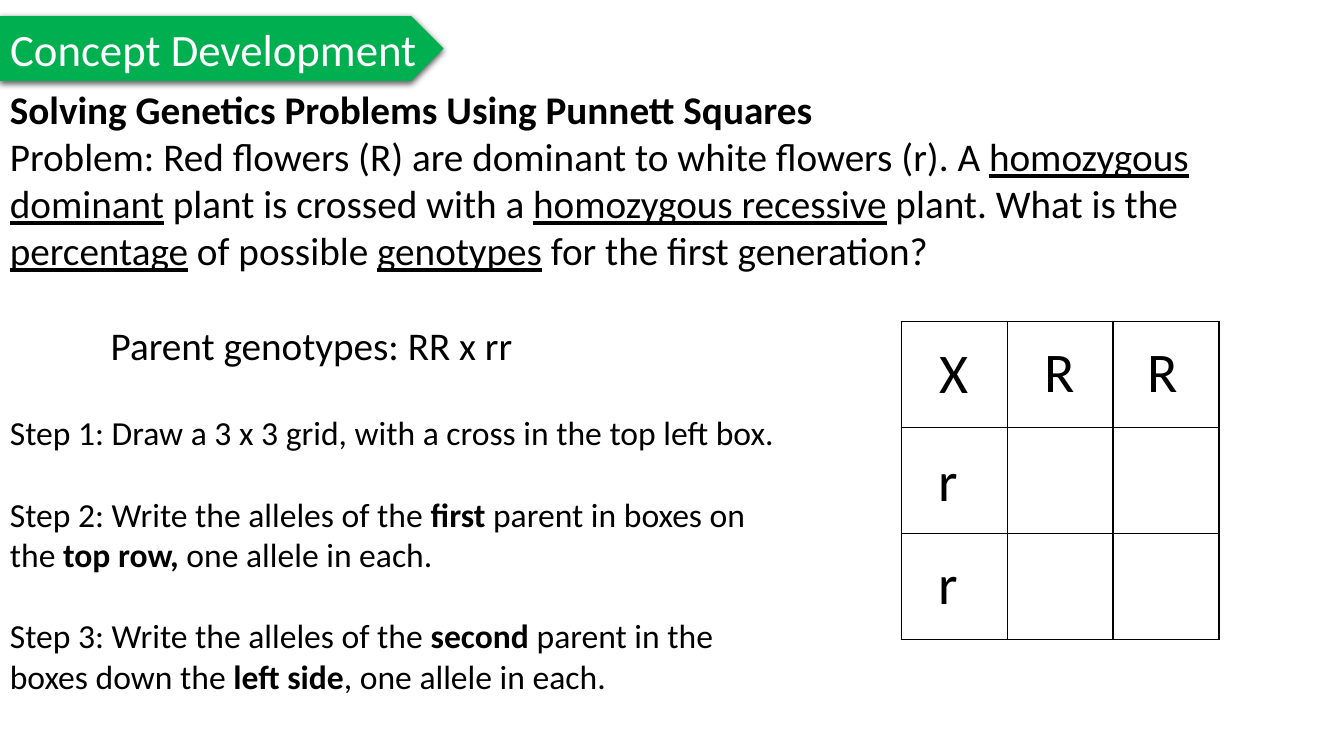
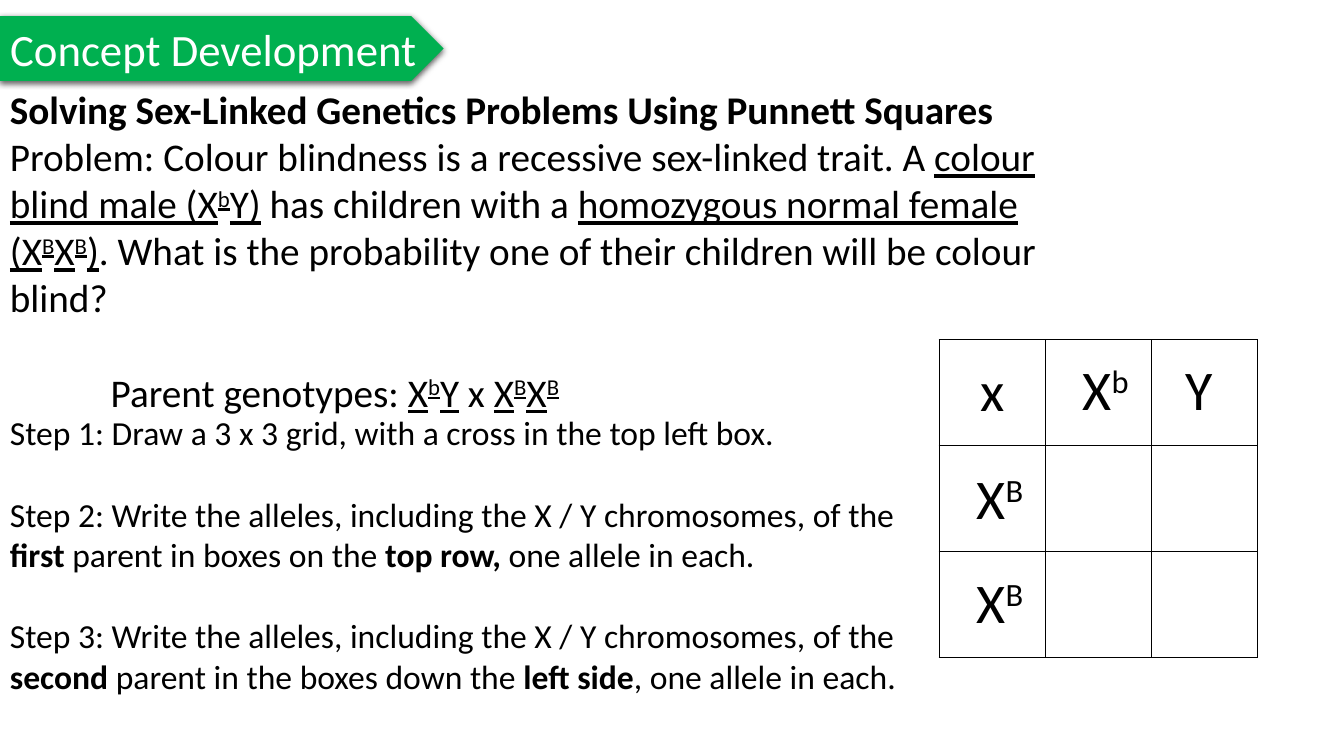
from dataclasses import dataclass

from lxml.etree import SubElement
from pptx import Presentation
from pptx.dml.color import RGBColor
from pptx.enum.shapes import MSO_SHAPE
from pptx.enum.text import MSO_ANCHOR, MSO_AUTO_SIZE, PP_ALIGN
from pptx.oxml.ns import qn
from pptx.util import Cm, Pt


@dataclass(frozen=True)
class Theme:
    font: str = "Calibri"
    green: RGBColor = RGBColor(0x00, 0xB0, 0x50)
    white: RGBColor = RGBColor(0xFF, 0xFF, 0xFF)
    black: RGBColor = RGBColor(0x00, 0x00, 0x00)
    title_size: int = 32
    problem_size: int = 28
    step_size: int = 24
    allele_size: int = 40
    border: float = 1


@dataclass(frozen=True)
class Span:
    """A stretch of text with one set of character styles."""
    text: str
    bold: bool = False
    underline: bool = False
    raised: bool = False


def bold(text):
    return Span(text, bold=True)


def underlined(text, raised=False):
    return Span(text, underline=True, raised=raised)


def raised(text):
    return Span(text, raised=True)


class Lesson:
    CELL = Cm(2.67)
    # Allele positions inside the square: two on top, two down the left side
    ALLELE_SPOTS = [(Cm(3.36), Cm(0.25)), (Cm(5.95), Cm(0.25)),
                    (Cm(0.69), Cm(3)), (Cm(0.69), Cm(5.61))]

    def __init__(self, theme):
        self.theme = theme
        self.deck = Presentation()
        self.deck.slide_width, self.deck.slide_height = Cm(33.87), Cm(19.05)
        self.slide = None

    def new_slide(self, title):
        self.slide = self.deck.slides.add_slide(self.deck.slide_layouts[5])
        place = Cm(0), Cm(0.41), Cm(11.18), Cm(1.63)
        self.banner(*place)
        heading = self.slide.shapes.title
        heading.left, heading.top, heading.width, heading.height = place
        frame = heading.text_frame
        frame.word_wrap = True
        frame.auto_size = MSO_AUTO_SIZE.NONE
        frame.vertical_anchor = MSO_ANCHOR.MIDDLE
        frame.paragraphs[0].alignment = PP_ALIGN.LEFT
        self.add_spans(frame.paragraphs[0], [title], self.theme.title_size, self.theme.white)

    def banner(self, left, top, width, height):
        """Green arrow with a soft shadow, placed behind the title."""
        arrow = self.slide.shapes.add_shape(MSO_SHAPE.PENTAGON, left, top, width, height)
        arrow.fill.solid()
        arrow.fill.fore_color.rgb = self.theme.green
        arrow.line.fill.background()
        effects = SubElement(arrow._element.spPr, qn("a:effectLst"))
        shadow = SubElement(effects, qn("a:outerShdw"), blurRad=str(Pt(4.5)),
                            dist=str(Pt(1.5)), dir="5400000", rotWithShape="0")
        tint = SubElement(shadow, qn("a:srgbClr"), val=str(self.theme.black))
        SubElement(tint, qn("a:alpha"), val="63000")
        self.slide.shapes._spTree.insert(2, arrow._element)

    def add_spans(self, paragraph, spans, size, color=None):
        for span in spans:
            if isinstance(span, str):
                span = Span(span)
            run = paragraph.add_run()
            run.text = span.text
            font = run.font
            font.name, font.size = self.theme.font, Pt(size)
            font.color.rgb = color or self.theme.black
            font.bold, font.underline = span.bold, span.underline
            if span.raised:
                run._r.get_or_add_rPr().set("baseline", "30000")

    def text_box(self, left, top, width, height, paragraphs, size, wrap=True):
        frame = self.slide.shapes.add_textbox(left, top, width, height).text_frame
        frame.word_wrap = wrap
        frame.auto_size = MSO_AUTO_SIZE.SHAPE_TO_FIT_TEXT
        for index, spans in enumerate(paragraphs):
            paragraph = frame.add_paragraph() if index else frame.paragraphs[0]
            self.add_spans(paragraph, spans, size)
        return frame.paragraphs

    def problem(self, width, height, heading, question, parents):
        size = self.theme.problem_size
        genotypes = self.text_box(Cm(0), Cm(2.03), width, height, [
            [bold(heading)], question, ["Parent genotypes: ", *parents]], size)[-1]
        genotypes.space_before = Pt(34)
        genotypes._p.get_or_add_pPr().set("marL", str(Cm(2.54)))

    def steps(self, width, detail=""):
        """The three drawing steps; detail follows the word "alleles"."""
        intro = f"Write the alleles{detail} of the "
        paragraphs = self.text_box(Cm(0), Cm(10.26), width, Cm(7.44), [
            ["Step 1: Draw a 3 x 3 grid, with a cross in the top left box."],
            ["Step 2: " + intro, bold("first "), "parent in boxes on the ",
             bold("top row, "), "one allele in each."],
            ["Step 3: " + intro, bold("second"), " parent in the boxes down the ",
             bold("left side"), ", one allele in each."],
        ], self.theme.step_size)
        for step in paragraphs[1:]:
            step.space_before = Pt(29.3)

    def punnett_square(self, left, top, cross, alleles):
        """Grid with a cross in its corner; alleles pair spans with a width."""
        side = 3 * self.CELL
        grid = self.slide.shapes.add_table(3, 3, left, top, side, side).table
        grid.first_row = grid.horz_banding = False
        for column in grid.columns:
            column.width = self.CELL
        for row in grid.rows:
            row.height = self.CELL
        for cell in grid.iter_cells():
            self.outline(cell)
            cell.fill.background()
        corner = grid.cell(0, 0)
        corner.vertical_anchor = MSO_ANCHOR.MIDDLE
        label = corner.text_frame.paragraphs[0]
        label.alignment = PP_ALIGN.CENTER
        self.add_spans(label, [cross], self.theme.allele_size)
        for (spans, width), (across, down) in zip(alleles, self.ALLELE_SPOTS):
            self.text_box(left + across, top + down, width, Cm(1.96), [spans],
                          self.theme.allele_size, wrap=False)

    def outline(self, cell):
        properties = cell._tc.get_or_add_tcPr()
        for edge in ("a:lnL", "a:lnR", "a:lnT", "a:lnB"):
            line = SubElement(properties, qn(edge), w=str(Pt(self.theme.border)))
            fill = SubElement(line, qn("a:solidFill"))
            SubElement(fill, qn("a:srgbClr"), val=str(self.theme.black))


def flower_slide(lesson):
    lesson.new_slide("Concept Development")
    lesson.problem(
        Cm(31.75), Cm(7.44), "Solving Genetics Problems Using Punnett Squares",
        ["Problem: Red flowers (R) are dominant to white flowers (r). A ",
         underlined("homozygous dominant"), " plant is crossed with a ",
         underlined("homozygous recessive"), " plant. What is the ",
         underlined("percentage"), " of possible ", underlined("genotypes"),
         " for the first generation?"],
        ["RR x rr"])
    dominant, recessive = (["R"], Cm(1.3)), (["r"], Cm(1.02))
    lesson.punnett_square(Cm(22.71), Cm(8.1), "X",
                          [dominant, dominant, recessive, recessive])
    lesson.steps(Cm(20.17))


def colour_blindness_slide(lesson):
    lesson.new_slide("Concept Development")
    normal_pair = [underlined("X"), underlined("B", raised=True),
                   underlined("X"), underlined("B", raised=True)]
    lesson.problem(
        Cm(27.94), Cm(8.64), "Solving Sex-Linked Genetics Problems Using Punnett Squares",
        ["Problem: Colour blindness is a recessive sex-linked trait. A ",
         underlined("colour blind male (X"), underlined("b", raised=True),
         underlined("Y)"), " has children with a ",
         underlined("homozygous normal female ("), *normal_pair, underlined(")"),
         ". What is the probability one of their children will be colour blind?"],
        [underlined("X"), underlined("b", raised=True), underlined("Y"), " x ",
         *normal_pair])
    mother = ["X", raised("B")], Cm(1.78)
    lesson.punnett_square(Cm(23.67), Cm(8.56), "x", [
        (["X", raised("b")], Cm(1.75)), (["Y"], Cm(1.22)), mother, mother])
    lesson.steps(Cm(22.96), ", including the X / Y chromosomes,")


def main():
    lesson = Lesson(Theme())
    flower_slide(lesson)
    colour_blindness_slide(lesson)
    lesson.deck.save("out.pptx")


if __name__ == "__main__":
    main()
